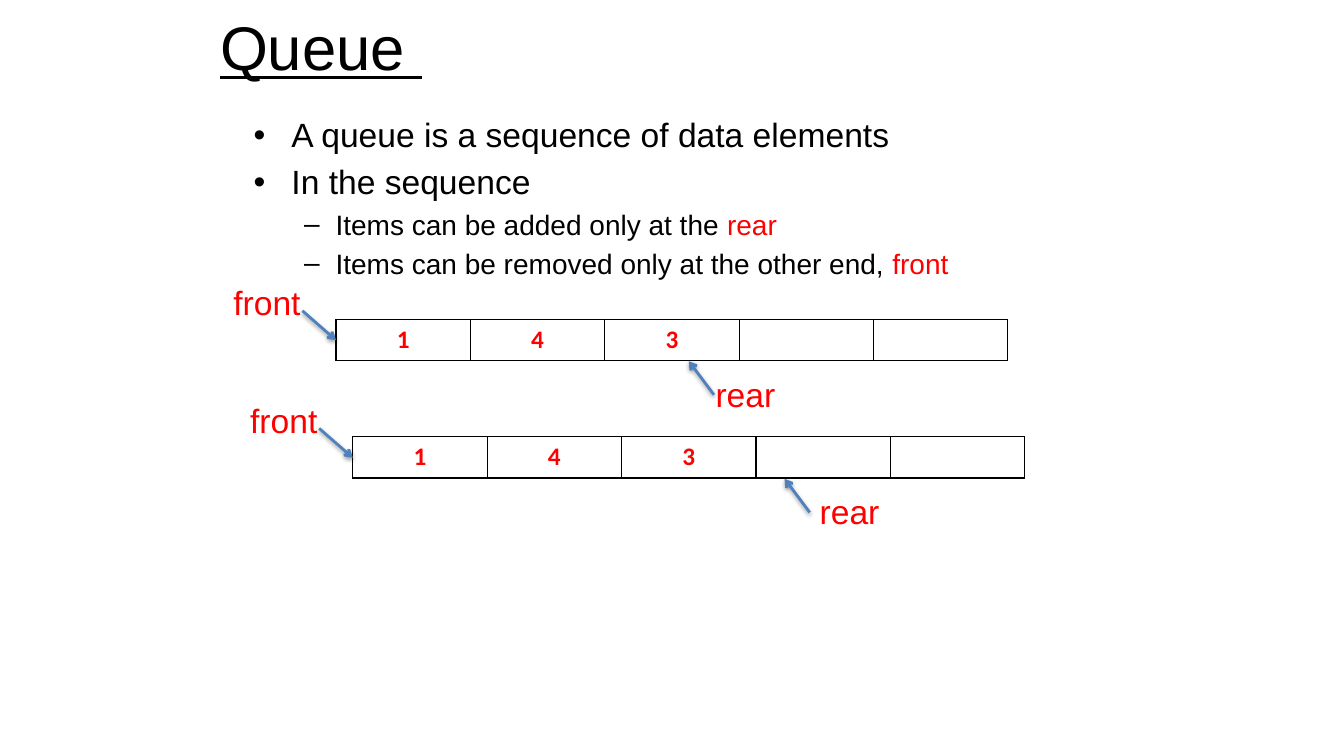
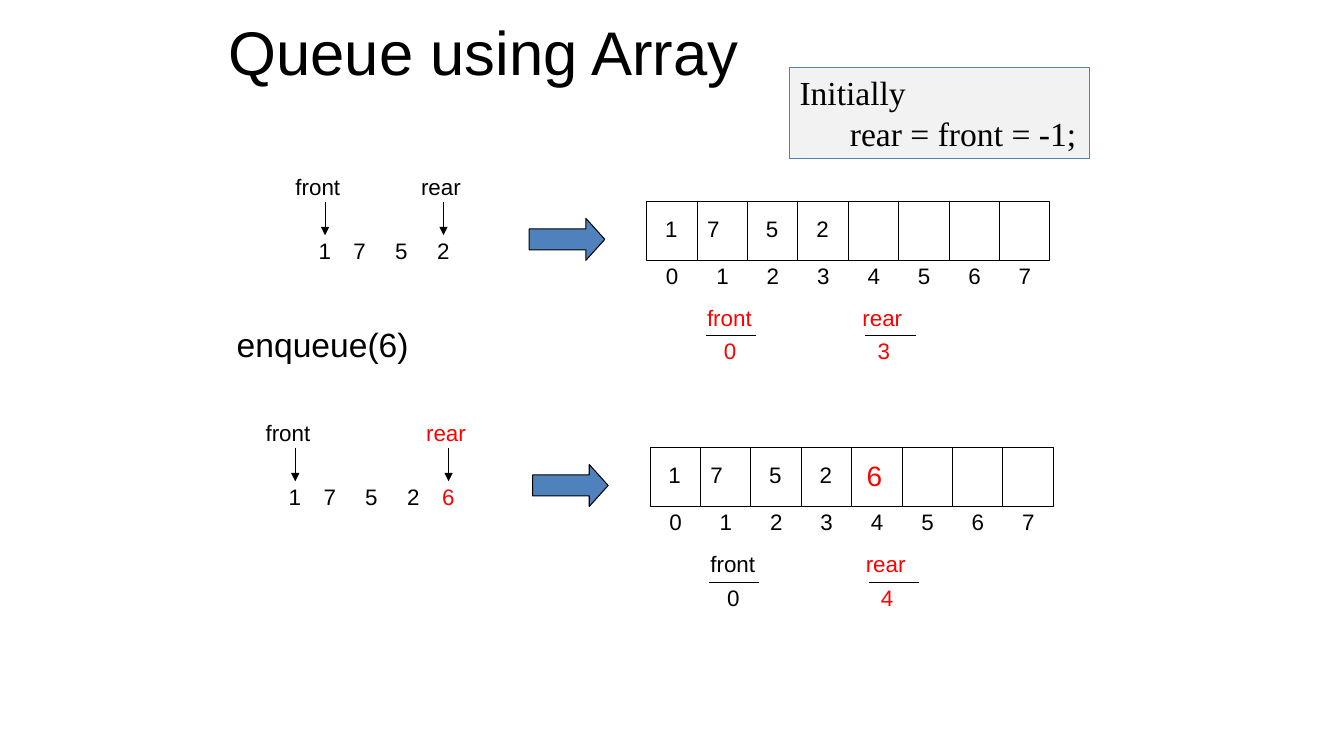
"""Build two slides that explain the queue and its array form."""
import pptx
import pptx.util
import pptx.dml.color
import pptx.enum.shapes
import pptx.enum.text
import pptx.oxml
import pptx.oxml.ns

RGB = pptx.dml.color.RGBColor
BLACK, RED, WHITE = RGB(0, 0, 0), RGB(255, 0, 0), RGB(255, 255, 255)
BLUE, GREY = RGB(0x4F, 0x81, 0xBD), RGB(0xF2, 0xF2, 0xF2)
SHAPE = pptx.enum.shapes.MSO_SHAPE
LINE = pptx.enum.shapes.MSO_CONNECTOR.STRAIGHT
ALIGN = pptx.enum.text.PP_ALIGN
COLS, ROWS = 160, 90

POINTS = [
    (0, "A queue is a sequence of data elements", ""),
    (0, "In the sequence", ""),
    (1, "Items can be added only at the ", "rear"),
    (1, "Items can be removed only at the other end, ", "front"),
]
CELLS = ["1", "4", "3", "", ""]
QUEUES = [
    {"at": (40, 38), "tip": 42, "gap": 2},
    {"at": (42, 52), "tip": 51.4, "gap": 3},
]
PANELS = [
    {"at": (77, 24), "list": 36.75, "items": "1752", "new": "",
     "front": ("0", RED), "rear": ("3", RED)},
    {"at": (77.4, 53.3), "list": 33.2, "items": "1752", "new": "6",
     "front": ("0", BLACK), "rear": ("4", RED)},
]
LIST_X = [0, 4.15, 9.1, 14.1, 18.25]
CELL_X = [1, 6, 13, 19, 24.6]
SLOTS, SLOT, DEEP = 8, 6, 7
START = ["Initially", "rear = front = -1;"]


def grid(*nums):
    """Turn grid units of a twelfth of an inch into lengths."""
    return [pptx.util.Inches(n / 12) for n in nums]


def style(runs, size, color=BLACK, face="Arial", bold=None):
    """Set the font of some runs."""
    for run in runs:
        run.font.size, run.font.name = pptx.util.Pt(size), face
        run.font.color.rgb, run.font.bold = color, bold


def label(slide, x, y, text, size=16, color=BLACK):
    """Write one line of text."""
    wide = 3 + 0.1 * size * len(text)
    box = slide.shapes.add_textbox(*grid(x, y, wide, size * 0.2 + 1.2))
    box.text_frame.word_wrap = True
    box.text_frame.text = text
    style(box.text_frame.paragraphs[0].runs, size, color)


def line(slide, x1, y1, x2, y2, head=None, color=BLACK, width=0.75, flat=True):
    """Draw a line, with an arrowhead if one is named."""
    link = slide.shapes.add_connector(LINE, *grid(x1, y1, x2, y2))
    link.line.color.rgb, link.line.width = color, pptx.util.Pt(width)
    if head:
        tail = pptx.oxml.parse_xml(
            f'<a:tailEnd {pptx.oxml.ns.nsdecls("a")} type="{head}"/>')
        link.line._get_or_add_ln().append(tail)
    if flat:
        link._element.spPr.append(pptx.oxml.parse_xml(
            f'<a:effectLst {pptx.oxml.ns.nsdecls("a")}/>'))


def block(slide, kind, at, fill, edge):
    """Draw a filled shape with a thin outline."""
    item = slide.shapes.add_shape(kind, *grid(*at))
    item.shadow.inherit = False
    item.fill.solid()
    item.fill.fore_color.rgb = fill
    item.line.color.rgb, item.line.width = edge, pptx.util.Pt(0.75)
    return item


def place(holder, at):
    """Move a placeholder onto the grid."""
    holder.left, holder.top, holder.width, holder.height = grid(*at)


def start(deck, layout, text, at, under=None):
    """Add a slide with its title."""
    slide = deck.slides.add_slide(deck.slide_layouts[layout])
    title = slide.shapes.title
    place(title, at)
    title.text_frame.text = text
    para = title.text_frame.paragraphs[0]
    para.alignment = ALIGN.LEFT
    style(para.runs, 44)
    para.runs[0].font.underline = under
    return slide


def bullets(slide):
    """Fill the body with the list of points."""
    body = slide.placeholders[1]
    place(body, (29, 13, 102, 74))
    frame = body.text_frame
    for i, (level, text, key) in enumerate(POINTS):
        para = frame.add_paragraph() if i else frame.paragraphs[0]
        para.level, para.text = level, text
        size = 20 if level else 24
        style(para.runs, size)
        if key:
            run = para.add_run()
            run.text = key
            style([run], size, RED)


def table(slide, x, y):
    """Add a one-row table of queue cells."""
    grid_table = slide.shapes.add_table(
        1, len(CELLS), *grid(x, y, 16 * len(CELLS), 4.9)).table
    grid_table.first_row = grid_table.horz_banding = False
    for cell, text in zip(grid_table.rows[0].cells, CELLS):
        for side in "LRTB":
            cell._tc.get_or_add_tcPr().append(pptx.oxml.parse_xml(
                f'<a:ln{side} {pptx.oxml.ns.nsdecls("a")} w="12700"><a:solidFill>'
                f'<a:srgbClr val="{BLACK}"/></a:solidFill></a:ln{side}>'))
        cell.fill.background()
        cell.text_frame.text = text
        para = cell.text_frame.paragraphs[0]
        para.alignment = ALIGN.CENTER
        style(para.runs, 18, RED, "Calibri", True)


def queue(slide, at, tip, gap):
    """Draw a queue table with its front and rear marks."""
    x, y = at
    look = {"head": "arrow", "color": BLUE, "width": 2, "flat": False}
    table(slide, x, y)
    line(slide, x - 4, y - 1, x, y + 2.5, **look)
    label(slide, x - 13.4, y - 5, "front", 24, RED)
    label(slide, x + tip + gap, y + 5.9, "rear", 24, RED)
    line(slide, x + tip + 3, y + 9, x + tip, y + 5, **look)


def logic(slide, panel):
    """Draw the logical list with arrows at both ends."""
    y, left = panel["at"][1], panel["list"]
    items = panel["items"] + panel["new"]
    tint = RED if panel["new"] else BLACK
    for i, (step, text) in enumerate(zip(LIST_X, items)):
        fresh = i >= len(panel["items"])
        label(slide, left + step, y + 3.6, text, 16, RED if fresh else BLACK)
    last = left + LIST_X[len(items) - 1]
    for word, x, back, color in (("front", left, 2.75, BLACK),
                                 ("rear", last, 1.9, tint)):
        label(slide, x - back, y - 4, word, 16, color)
        line(slide, x + 1.95, y, x + 1.95, y + 4, "triangle")


def array(slide, panel):
    """Draw the array with its indexes and the two variables."""
    x, y = panel["at"]
    block(slide, SHAPE.RECTANGLE, (x, y, SLOTS * SLOT, DEEP), WHITE, BLACK)
    for i in range(SLOTS):
        if i:
            line(slide, x + i * SLOT, y, x + i * SLOT, y + DEEP)
        label(slide, x + 1.1 + i * SLOT, y + 6.6, str(i))
    for step, text in zip(CELL_X, panel["items"]):
        label(slide, x + step, y + 1, text)
    if panel["new"]:
        label(slide, x + CELL_X[len(panel["items"])], y + 0.7, panel["new"], 20, RED)
    for word, dx, bar, low in (("front", 6, 7, 8), ("rear", 24.5, 26, 26.3)):
        value, color = panel[word]
        label(slide, x + dx, y + 11.6, word, 16, color)
        line(slide, x + bar, y + 16, x + bar + SLOT, y + 16)
        label(slide, x + low, y + 15.6, value, 16, color)


def notice(slide):
    """Add the box with the starting values."""
    box = block(slide, SHAPE.RECTANGLE, (94, 8, 35.7, 10.9), GREY, BLUE)
    frame = box.text_frame
    frame.text = "\n".join(START)
    frame.vertical_anchor = pptx.enum.text.MSO_ANCHOR.TOP
    for para in frame.paragraphs:
        para.alignment = ALIGN.LEFT
        style(para.runs, 24, BLACK, "Times New Roman")
    frame.paragraphs[1]._p.get_or_add_pPr().set("marL", str(grid(6)[0]))


def main():
    """Build and save the deck."""
    deck = pptx.Presentation()
    deck.slide_width, deck.slide_height = grid(COLS, ROWS)
    first = start(deck, 1, "Queue ", (25, -2, 108, 15), True)
    bullets(first)
    for item in QUEUES:
        queue(first, **item)
    second = start(deck, 5, "Queue using Array", (26, 0, 108, 12))
    for panel in PANELS:
        x, y = panel["at"]
        logic(second, panel)
        arrow = block(second, SHAPE.RIGHT_ARROW, (x - 14, y + 2, 9, 5), BLUE, BLACK)
        arrow.adjustments[1] = 0.45
        array(second, panel)
    label(second, 27, 38, "enqueue(6)", 24)
    notice(second)
    deck.save("out.pptx")


if __name__ == "__main__":
    main()
